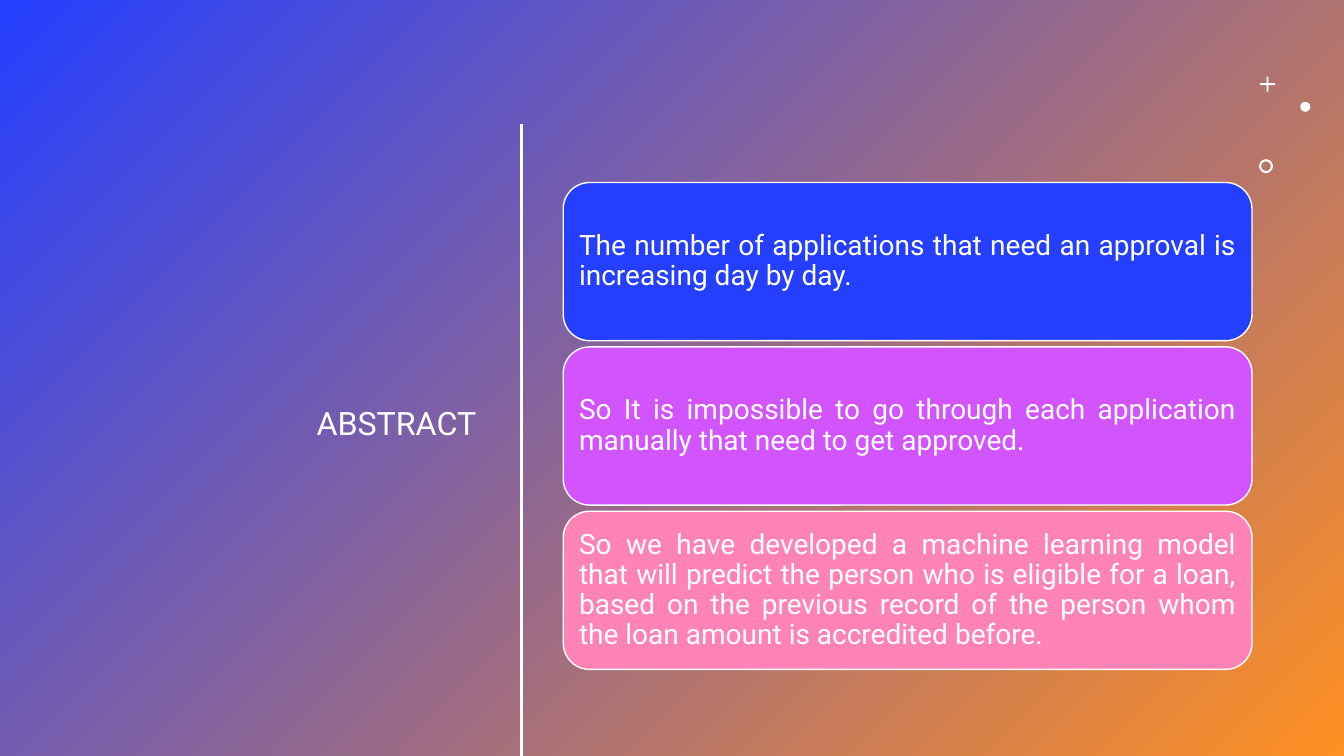
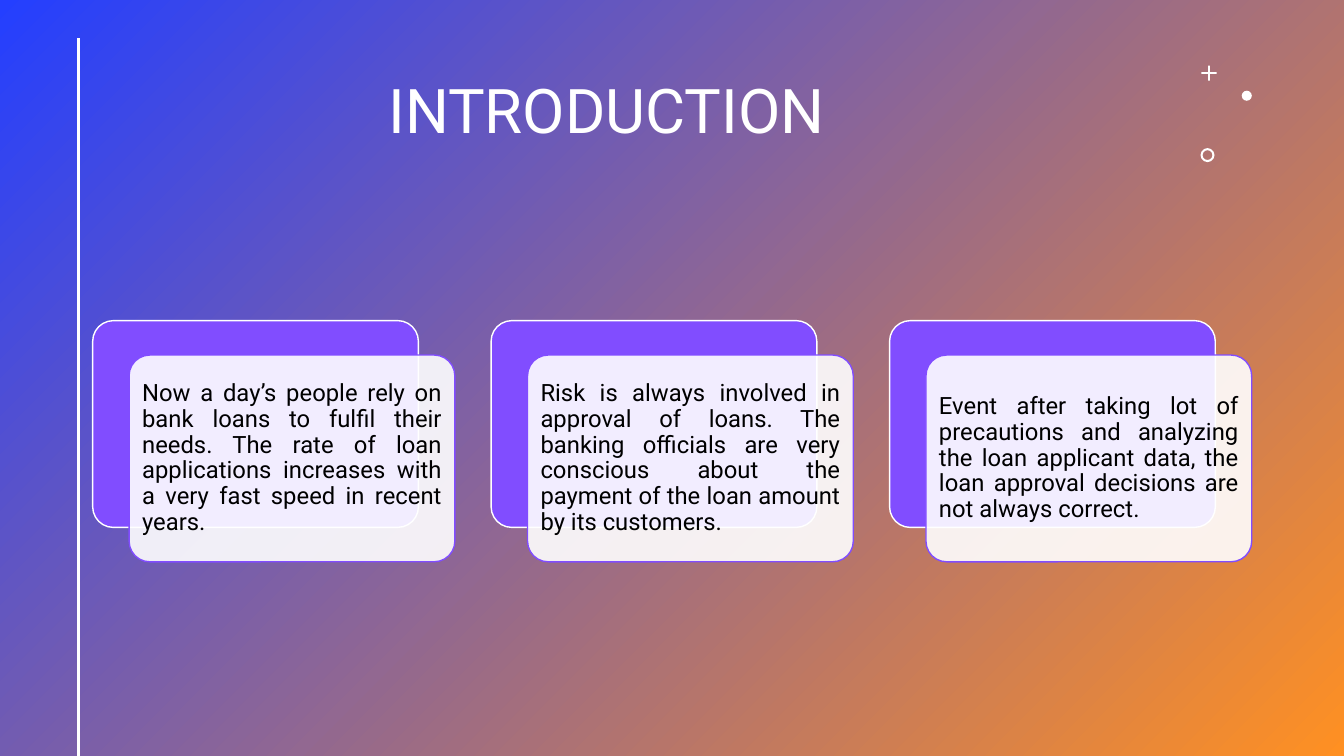
from dataclasses import dataclass

from lxml import etree
from pptx import Presentation
from pptx.dml.color import RGBColor
from pptx.enum import shapes, text
from pptx.oxml import ns
from pptx.util import Pt


@dataclass(frozen=True)
class Theme:
    font: str = "Roboto"
    white: str = "FFFFFF"
    black: str = "000000"
    blue: str = "243FFF"
    orange: str = "FF9022"
    orchid: str = "D154FF"
    pink: str = "FF83B6"
    violet: str = "814DFF"
    side_title: float = 23
    top_title: float = 44
    panel_text: float = 20
    card_text: float = 17


THEME = Theme()
WIDTH, HEIGHT = 960, 540
SHAPE = shapes.MSO_SHAPE
ALIGN = text.PP_ALIGN

# Content
ABSTRACT = [
    ("The number of applications that need an approval is increasing day by day.", THEME.blue),
    ("So It is impossible to go through each application manually that need to get approved.",
     THEME.orchid),
    ("So we have developed a machine learning model that will predict the person who is "
     "eligible for a loan, based on the previous record of the person whom the loan amount "
     "is accredited before.", THEME.pink),
]
INTRODUCTION = [
    "Now a day’s people rely on bank loans to fulfil their needs. The rate of loan "
    "applications increases with a very fast speed in recent years.",
    "Risk is always involved in approval of loans. The banking officials are very conscious "
    "about the payment of the loan amount by its customers.",
    "Event after taking lot of precautions and analyzing the loan applicant data, the loan "
    "approval decisions are not always correct.",
]
# Ornament: preset, offset x, offset y, size, adjustment
SPARKLES = [
    (SHAPE.CROSS, 0.7, 0, 10.8, 0.44),
    (SHAPE.OVAL, 29.5, 18, 7.2, None),
    (SHAPE.DONUT, 0, 59, 10, 0.15),
]


def rgb(value):
    return RGBColor.from_string(value)


def write(shape, words, *, size, color, align=ALIGN.LEFT, inset=7.2, left_inset=None):
    frame = shape.text_frame
    frame.word_wrap = True
    frame.vertical_anchor = text.MSO_ANCHOR.MIDDLE
    frame.margin_left = Pt(inset if left_inset is None else left_inset)
    frame.margin_right = frame.margin_top = frame.margin_bottom = Pt(inset)
    paragraph = frame.paragraphs[0]
    paragraph.alignment = align
    paragraph.line_spacing = 0.9
    run = paragraph.add_run()
    run.text = words
    run.font.name = THEME.font
    run.font.size = Pt(size)
    run.font.color.rgb = rgb(color)


def add_box(slide, preset, box, fill=None, line=None, adjust=None, opacity=None):
    shape = slide.shapes.add_shape(preset, *map(Pt, box))
    shape.shadow.inherit = False
    if fill:
        shape.fill.solid()
        shape.fill.fore_color.rgb = rgb(fill)
    if opacity is not None:
        tint = shape.fill._xPr.find(".//" + ns.qn("a:srgbClr"))
        etree.SubElement(tint, ns.qn("a:alpha"), val=str(opacity * 1000))
    if line:
        shape.line.color.rgb = rgb(line)
        shape.line.width = Pt(1)
    else:
        shape.line.fill.background()
    if adjust is not None:
        shape.adjustments[0] = adjust
    return shape


def add_title(slide, words, box, **style):
    title = slide.shapes.add_textbox(*map(Pt, box))
    write(title, words, color=THEME.white, **style)


def start_slide(deck, rule_x, rule_top, sparkle_x, sparkle_y):
    """Blank slide with the gradient, vertical rule and ornament."""
    slide = deck.slides.add_slide(deck.slide_layouts[6])
    backdrop = add_box(slide, SHAPE.RECTANGLE, (0, 0, WIDTH, HEIGHT))
    backdrop.fill.gradient()
    backdrop.fill.gradient_angle = 315
    for stop, position, color in zip(backdrop.fill.gradient_stops, (0, 1),
                                     (THEME.blue, THEME.orange)):
        stop.position = position
        stop.color.rgb = rgb(color)

    rule = slide.shapes.add_connector(shapes.MSO_CONNECTOR.STRAIGHT, Pt(rule_x), Pt(rule_top),
                                      Pt(rule_x), Pt(HEIGHT))
    rule.line.color.rgb = rgb(THEME.white)
    rule.line.width = Pt(2)
    etree.SubElement(rule._element.spPr, ns.qn("a:effectLst"))

    for preset, dx, dy, size, adjust in SPARKLES:
        add_box(slide, preset, (sparkle_x + dx, sparkle_y + dy, size, size),
                fill=THEME.white, adjust=adjust)
    return slide


def build_abstract(deck):
    slide = start_slide(deck, 372.5, 88.5, 899.3, 54.7)
    add_title(slide, "ABSTRACT", (37.5, 83.5, 310, 440), size=THEME.side_title,
              align=ALIGN.RIGHT)
    # Stacked panels
    left, top, width, height, gap = 402.3, 130.4, 492, 113, 4.4
    for row, (words, color) in enumerate(ABSTRACT):
        panel = add_box(slide, SHAPE.ROUNDED_RECTANGLE,
                        (left, top + row * (height + gap), width, height),
                        fill=color, line=THEME.white)
        write(panel, words, size=THEME.panel_text, color=THEME.white,
              align=ALIGN.JUSTIFY, inset=5.8)


def build_introduction(deck):
    slide = start_slide(deck, 56, 27.5, 857.5, 46.8)
    add_title(slide, "INTRODUCTION", (66, 29, 772, 104), size=THEME.top_title,
              left_inset=211.5)
    # Row of cards, each over an offset backing
    left, top, width, height, step = 66.2, 229, 232.7, 147.7, 284.6
    shift_x, shift_y = 26, 24.6
    for column, words in enumerate(INTRODUCTION):
        x = left + column * step
        add_box(slide, SHAPE.ROUNDED_RECTANGLE, (x, top, width, height),
                fill=THEME.violet, line=THEME.white, adjust=0.1)
        card = add_box(slide, SHAPE.ROUNDED_RECTANGLE,
                       (x + shift_x, top + shift_y, width, height),
                       fill=THEME.white, line=THEME.violet, adjust=0.1, opacity=90)
        write(card, words, size=THEME.card_text, color=THEME.black,
              align=ALIGN.JUSTIFY, inset=5)


def main():
    deck = Presentation()
    deck.slide_width, deck.slide_height = Pt(WIDTH), Pt(HEIGHT)
    build_abstract(deck)
    build_introduction(deck)
    deck.save("out.pptx")


if __name__ == "__main__":
    main()
